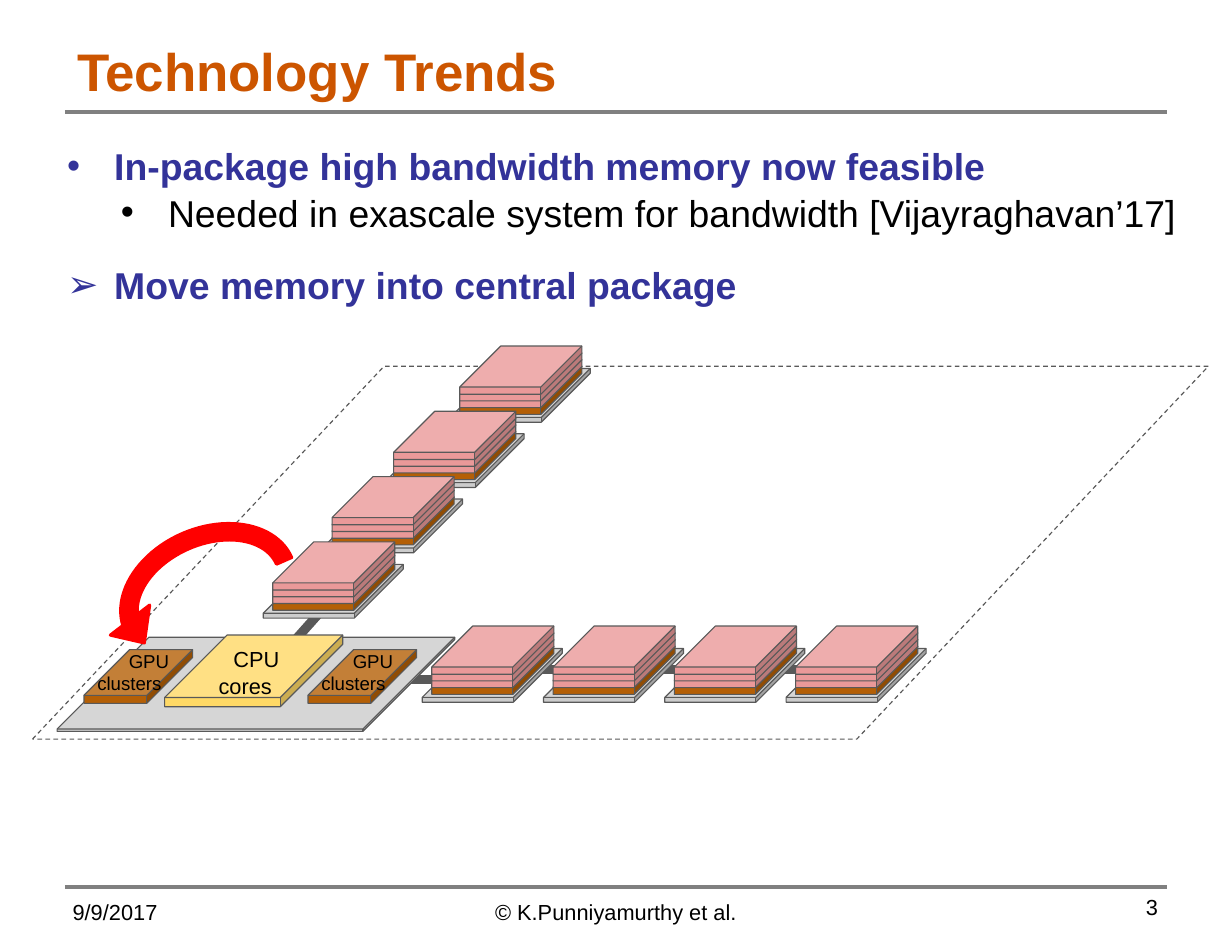
import pptx
import pptx.util
import pptx.dml.color
import pptx.enum.dml
import pptx.enum.shapes
import pptx.enum.text
import pptx.oxml.ns
from lxml import etree

Inches = pptx.util.Inches
Pt = pptx.util.Pt
SHAPE = pptx.enum.shapes.MSO_SHAPE
ALIGN = pptx.enum.text.PP_ALIGN
ANCHOR = pptx.enum.text.MSO_ANCHOR
qn = pptx.oxml.ns.qn

ORANGE, NAVY, RULE, OUTLINE = "CC5500", "333399", "808080", "595959"
SILICON, LOGIC, MEMORY, CPU, ARROW = "CCCCCC", "B45F06", "EA9999", "FFD966", "FF0000"


def color(hex_string):
    return pptx.dml.color.RGBColor.from_string(hex_string)


def add_text(frame, text, size=14, ink="000000", bold=False, align=ALIGN.LEFT,
             margin=0, hanging=0, bullet=None, level=0, before=0):
    """Fill the first empty paragraph of the frame, or append a new one."""
    first = frame.paragraphs[0]
    paragraph = first if not first.runs else frame.add_paragraph()
    paragraph.alignment = align
    paragraph.level = level
    paragraph.space_before = Pt(before)
    run = paragraph.add_run()
    run.text = text
    run.font.name = "Arial"
    run.font.size = Pt(size)
    run.font.bold = bold
    run.font.color.rgb = color(ink)
    properties = paragraph._p.get_or_add_pPr()
    properties.set("marL", str(Inches(margin)))
    properties.set("indent", str(Inches(-hanging)))
    if bullet:
        bullet_color = etree.SubElement(properties, qn("a:buClr"))
        etree.SubElement(bullet_color, qn("a:srgbClr")).set("val", ink)
        etree.SubElement(properties, qn("a:buFont")).set("typeface", "Arial")
        etree.SubElement(properties, qn("a:buChar")).set("char", bullet)


def set_frame(shape, inset_x=0.1, inset_y=0.1, anchor=ANCHOR.TOP):
    frame = shape.text_frame
    frame.word_wrap = True
    frame.auto_size = pptx.enum.text.MSO_AUTO_SIZE.NONE
    frame.vertical_anchor = anchor
    frame.margin_left = frame.margin_right = Inches(inset_x)
    frame.margin_top = frame.margin_bottom = Inches(inset_y)
    return frame


def add_text_box(shapes, left, top, width, height, **insets):
    box = shapes.add_textbox(Inches(left), Inches(top), Inches(width), Inches(height))
    return set_frame(box, **insets)


def move_placeholder(placeholder, left, top, width, height, **insets):
    placeholder.left, placeholder.top = Inches(left), Inches(top)
    placeholder.width, placeholder.height = Inches(width), Inches(height)
    return set_frame(placeholder, inset_x=0.11, inset_y=0.06, **insets)


def add_line(shapes, x1, y1, x2, y2, ink=OUTLINE, weight=6):
    line = shapes.add_connector(pptx.enum.shapes.MSO_CONNECTOR.STRAIGHT,
                                Inches(x1), Inches(y1), Inches(x2), Inches(y2))
    line.line.color.rgb = color(ink)
    line.line.width = Pt(weight)
    etree.SubElement(line._element.spPr, qn("a:effectLst"))


def add_shape(shapes, kind, left, top, width, height, adjustments,
              fill=None, ink=OUTLINE, weight=0.75):
    shape = shapes.add_shape(kind, Inches(left), Inches(top), Inches(width), Inches(height))
    for index, value in enumerate(adjustments):
        shape.adjustments[index] = value
    shape.shadow.inherit = False
    if fill:
        shape.fill.solid()
        shape.fill.fore_color.rgb = color(fill)
    else:
        shape.fill.background()
    shape.line.color.rgb = color(ink)
    shape.line.width = Pt(weight)
    return shape


def add_cube(shapes, left, top, width, height, depth, fill):
    add_shape(shapes, SHAPE.CUBE, left, top, width, height, [depth], fill)


def add_memory_stack(shapes, left, top):
    """Substrate, logic die and three memory dies, bottom to top."""
    add_cube(shapes, left, top + 0.2, 1.25, 0.48, 0.91, SILICON)
    for rise, fill in ((0.18, LOGIC), (0.12, MEMORY), (0.06, MEMORY), (0, MEMORY)):
        add_cube(shapes, left + 0.085, top + rise, 1.09, 0.43, 0.851, fill)


def add_gpu(shapes, left, top):
    add_cube(shapes, left, top, 0.97, 0.48, 0.851, LOGIC)
    label = add_text_box(shapes, left - 0.12, top - 0.1, 1.09, 0.66)
    add_text(label, "GPU", size=12, align=ALIGN.CENTER, margin=0.31)
    add_text(label, "clusters", size=12, margin=0.14)


def add_cpu(shapes, left, top):
    add_cube(shapes, left, top, 1.59, 0.64, 0.871, CPU)
    label = add_text_box(shapes, left + 0.17, top, 1.1, 0.6)
    add_text(label, "CPU", align=ALIGN.CENTER, margin=0.2)
    add_text(label, "cores", align=ALIGN.CENTER)


def add_diagram(slide, left, top):
    shapes = slide.shapes.add_group_shape().shapes
    board = add_shape(shapes, SHAPE.PARALLELOGRAM, left, top, 10.5, 3.33, [0.943])
    board.line.dash_style = pptx.enum.dml.MSO_LINE.DASH

    # Links between the parts
    row_step, column_step = 1.083, 0.583
    add_line(shapes, left + 2.35, top + 2.44, left + 2.6, top + 2.16)
    add_line(shapes, left + 3.32, top + 2.8, left + 3.61, top + 2.8)
    for index in range(3):
        x = left + 4.49 + index * row_step
        add_line(shapes, x, top + 2.71, x + 0.29, top + 2.71)

    # Memory receding to the back, farthest first
    for index, offset in enumerate((3.73, 3.14, 2.59, 2.06)):
        add_memory_stack(shapes, left + offset, top - 0.18 + index * column_step)

    # Central package and the memory row to its right
    add_cube(shapes, left + 0.22, top + 2.42, 3.55, 0.84, 0.975, SILICON)
    for index in range(4):
        add_memory_stack(shapes, left + 3.48 + index * row_step, top + 2.32)
    add_cpu(shapes, left + 1.18, top + 2.4)
    for offset in (0.46, 2.46):
        add_gpu(shapes, left + offset, top + 2.53)


def add_move_arrow(slide, left, top, width, height):
    arrow = add_shape(slide.shapes, SHAPE.CIRCULAR_ARROW, left, top, width, height,
                      [0.101, 11.423, 212.79, 108, 0.15], ARROW, ARROW, 2)
    arrow.rotation = 336.3
    arrow._element.spPr.find(qn("a:xfrm")).set("flipH", "1")


def add_heading(slide, left, top, width, height):
    frame = move_placeholder(slide.shapes.title, left, top, width, height,
                             anchor=ANCHOR.MIDDLE)
    add_text(frame, "Technology Trends", size=34, ink=ORANGE, bold=True)
    add_line(slide.shapes, left, top + height, left + 9.84, top + height, RULE, 2.25)


def add_bullets(slide, left, top, width, height):
    frame = move_placeholder(slide.placeholders[1], left, top, width, height)
    main = dict(size=24, ink=NAVY, bold=True, margin=0.42, hanging=0.42)
    add_text(frame, "In-package high bandwidth memory now feasible", bullet="•", **main)
    add_text(frame, "Needed in exascale system for bandwidth [Vijayraghavan’17]",
             size=24, margin=0.9, hanging=0.42, bullet="•", level=1, before=1)
    add_text(frame, "Move memory into central package", bullet="➢", before=18, **main)


def add_footer(slide, left, top, width):
    add_line(slide.shapes, left, top, left + width, top, RULE, 2.25)
    number = add_text_box(slide.shapes, left + 7.3, top, 2.57, 0.42,
                          inset_x=0.11, inset_y=0.06)
    add_text(number, "3", align=ALIGN.RIGHT)
    add_text(add_text_box(slide.shapes, left - 0.03, top, 2.57, 0.42), "9/9/2017")
    credit = add_text_box(slide.shapes, left + 3.18, top, 3.48, 0.42)
    add_text(credit, "© K.Punniyamurthy et al.", align=ALIGN.CENTER)


def main():
    presentation = pptx.Presentation()
    presentation.slide_width, presentation.slide_height = Inches(11), Inches(8.5)
    slide = presentation.slides.add_slide(presentation.slide_layouts[1])
    add_heading(slide, 0.58, 0.25, 9.83, 0.75)
    add_diagram(slide, 0.29, 3.27)
    add_move_arrow(slide, 0.9, 4.57, 1.92, 1.47)
    add_bullets(slide, 0.49, 1.22, 10.3, 1.94)
    add_footer(slide, 0.58, 7.92, 9.84)
    presentation.save("out.pptx")


if __name__ == "__main__":
    main()
